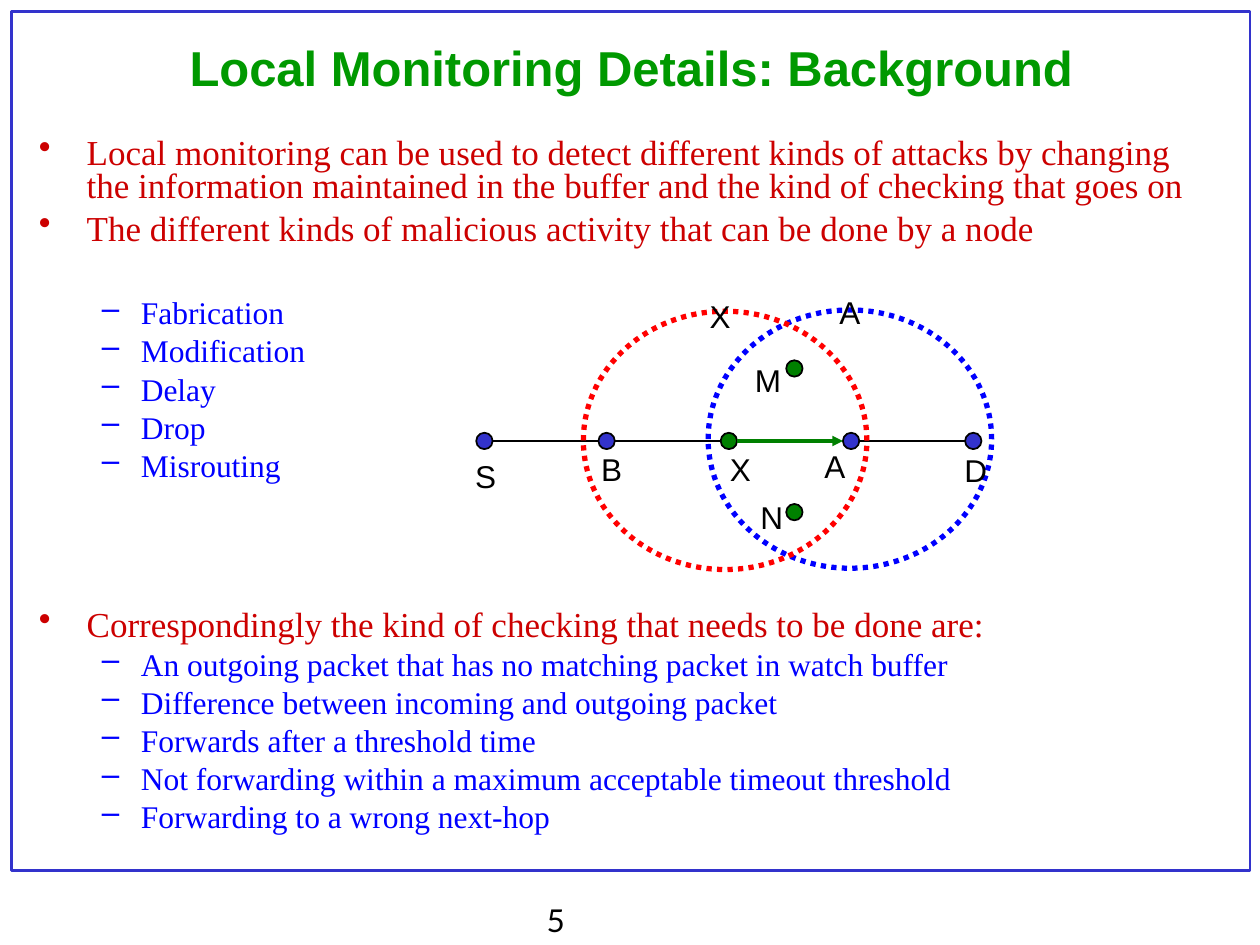
from dataclasses import dataclass

from lxml.etree import SubElement
from pptx import Presentation
from pptx.dml.color import RGBColor
from pptx.enum.dml import MSO_LINE_DASH_STYLE as Dash
from pptx.enum.shapes import MSO_CONNECTOR as Connector, MSO_SHAPE as Shape
from pptx.enum.text import MSO_ANCHOR as Anchor, MSO_AUTO_SIZE as AutoSize, PP_ALIGN as Align
from pptx.oxml.ns import qn
from pptx.util import Inches, Pt


@dataclass(frozen=True)
class Theme:
    frame: str = "3333CC"
    title: str = "009900"
    point: str = "CC0000"
    detail: str = "0000FF"
    node: str = "3333CC"
    neighbor: str = "008000"
    ink: str = "000000"
    range_x: str = "FF0000"
    range_a: str = "0000FF"
    title_size: int = 28
    point_size: int = 20
    detail_size: int = 18
    label_size: int = 18


def write(paragraph, text, name, size, color, bold=False):
    run = paragraph.add_run()
    run.text = text
    values = {"name": name, "size": Pt(size), "bold": bold}
    for attribute, value in values.items():
        setattr(run.font, attribute, value)
    run.font.color.rgb = RGBColor.from_string(color)


def outline(shape, fill, color, width, dash=None):
    shape.shadow.inherit = False
    if fill:
        shape.fill.solid()
        shape.fill.fore_color.rgb = RGBColor.from_string(fill)
    else:
        shape.fill.background()
    shape.line.color.rgb = RGBColor.from_string(color)
    for attribute, value in {"width": Pt(width), "dash_style": dash}.items():
        setattr(shape.line, attribute, value)


theme = Theme()
presentation = Presentation()
presentation.slide_width = Inches(10)
presentation.slide_height = Inches(7.5)
slide = presentation.slides.add_slide(presentation.slide_layouts[5])

frame = slide.shapes.add_shape(Shape.RECTANGLE, Inches(0.09), Inches(0.09), Inches(9.83), Inches(6.82))
outline(frame, None, theme.frame, 1.5)

title = slide.shapes.title
title_place = {"left": 0.24, "top": 0.24, "width": 9.54, "height": 0.58}
for attribute, value in title_place.items():
    setattr(title, attribute, Inches(value))
title_format = {"vertical_anchor": Anchor.MIDDLE, "word_wrap": True, "auto_size": AutoSize.NONE}
for attribute, value in title_format.items():
    setattr(title.text_frame, attribute, value)
title.text_frame.paragraphs[0].alignment = Align.CENTER
write(title.text_frame.paragraphs[0], "Local Monitoring Details: Background",
      "Arial", theme.title_size, theme.title, True)

page_number = slide.shapes.add_textbox(Inches(4.24), Inches(7.1), Inches(1.42), Inches(0.44))
page_number.text_frame.word_wrap = False
write(page_number.text_frame.paragraphs[0], "5", "Lato", theme.label_size, theme.ink)

levels = [
    {"margin": 0.38, "hanging": 0.38, "bullet": "•", "color": theme.point, "size": theme.point_size, "before": 5},
    {"margin": 0.81, "hanging": 0.31, "bullet": "–", "color": theme.detail, "size": theme.detail_size, "before": 4.5},
]
points = [
    (0, "Local monitoring can be used to detect different kinds of attacks by changing "
        "the information maintained in the buffer and the kind of checking that goes on"),
    (0, "The different kinds of malicious activity that can be done by a node"),
    (1, "Fabrication"),
    (1, "Modification"),
    (1, "Delay"),
    (1, "Drop"),
    (1, "Misrouting"),
    (0, "Correspondingly the kind of checking that needs to be done are:"),
    (1, "An outgoing packet that has no matching packet in watch buffer"),
    (1, "Difference between incoming and outgoing packet"),
    (1, "Forwards after a threshold time"),
    (1, "Not forwarding within a maximum acceptable timeout threshold"),
    (1, "Forwarding to a wrong next-hop"),
]
space_before = {0: 0, 2: 30, 7: 72.5}

body = slide.shapes.add_textbox(Inches(0.21), Inches(1.05), Inches(9.56), Inches(5.87))
body.text_frame.word_wrap = True
for index, (level, text) in enumerate(points):
    style = levels[level]
    paragraph = body.text_frame.add_paragraph() if index else body.text_frame.paragraphs[0]
    properties = paragraph._p.get_or_add_pPr()
    properties.set("marL", str(Inches(style["margin"])))
    properties.set("indent", str(-Inches(style["hanging"])))
    bullet_color = SubElement(properties, qn("a:buClr"))
    SubElement(bullet_color, qn("a:srgbClr"), val=style["color"])
    SubElement(properties, qn("a:buChar"), char=style["bullet"])
    paragraph_format = {
        "level": level,
        "line_spacing": 0.8,
        "space_before": Pt(space_before.get(index, style["before"])),
    }
    for attribute, value in paragraph_format.items():
        setattr(paragraph, attribute, value)
    write(paragraph, text, "Times New Roman", style["size"], style["color"])

network = slide.shapes.add_group_shape()
node_size = 0.13
route_left, route_step, route_y = 3.78, 0.97, 3.5
route_colors = [theme.node, theme.node, theme.neighbor, theme.node, theme.node]
nodes = [(route_left + route_step * index, route_y - node_size / 2, color)
         for index, color in enumerate(route_colors)]
nodes += [(6.24, 2.86, theme.neighbor), (6.24, 4, theme.neighbor)]
for left, top, color in nodes:
    node = network.shapes.add_shape(Shape.OVAL, Inches(left), Inches(top), Inches(node_size), Inches(node_size))
    outline(node, color, theme.ink, 1)

for index in range(len(route_colors) - 1):
    start = route_left + route_step * index + node_size
    end = route_left + route_step * (index + 1)
    monitored = index == 2
    link = network.shapes.add_connector(
        Connector.STRAIGHT, Inches(start), Inches(route_y), Inches(end), Inches(route_y))
    link.line.color.rgb = RGBColor.from_string(theme.neighbor if monitored else theme.ink)
    link.line.width = Pt(2 if monitored else 1)
    if monitored:
        SubElement(link.line._get_or_add_ln(), qn("a:tailEnd"), type="triangle")
    SubElement(link._element.spPr, qn("a:effectLst"))

for left, top, color in [(5.62, 2.46, theme.range_a), (4.63, 2.47, theme.range_x)]:
    radio_range = network.shapes.add_shape(Shape.OVAL, Inches(left), Inches(top), Inches(2.25), Inches(2.05))
    outline(radio_range, None, color, 3, Dash.ROUND_DOT)

labels = [
    ("S", 3.63, 3.58), ("B", 4.63, 3.52), ("X", 5.65, 3.52), ("A", 6.4, 3.5), ("D", 7.52, 3.53),
    ("M", 5.87, 2.82), ("N", 5.9, 3.9), ("A", 6.52, 2.28), ("X", 5.49, 2.31),
]
for text, left, top in labels:
    label = network.shapes.add_textbox(Inches(left), Inches(top), Inches(0.45), Inches(0.4))
    label.text_frame.word_wrap = True
    label.text_frame.paragraphs[0].alignment = Align.CENTER
    write(label.text_frame.paragraphs[0], text, "Arial", theme.label_size, theme.ink)

presentation.save("out.pptx")
